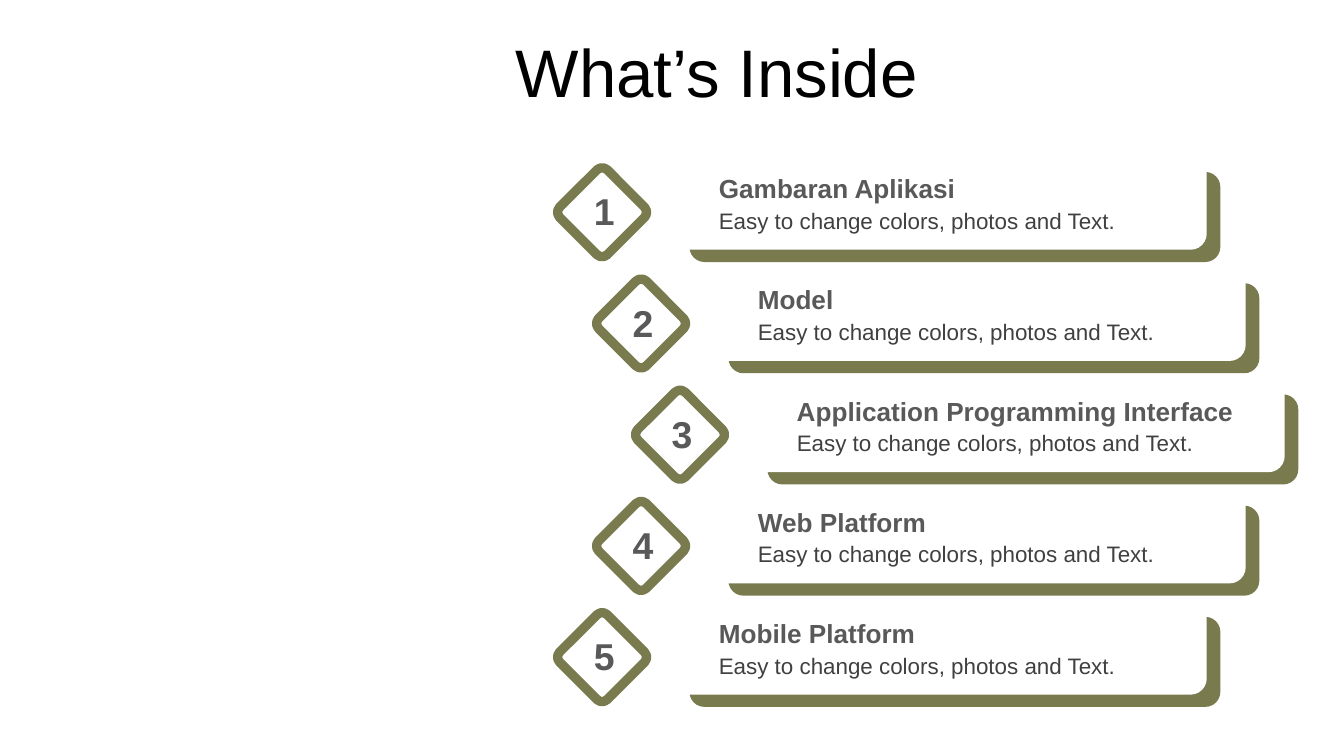
from dataclasses import dataclass

from pptx import Presentation
from pptx.dml.color import RGBColor
from pptx.enum.shapes import MSO_SHAPE
from pptx.enum.text import MSO_ANCHOR, PP_ALIGN
from pptx.util import Inches, Pt


@dataclass(frozen=True)
class Theme:
    font: str = "Arial"
    olive: str = "797B4F"
    card: str = "FFFFFF"
    title: str = "000000"
    heading: str = "595959"
    body: str = "404040"
    title_size: int = 36
    number_size: int = 20
    heading_size: int = 14
    body_size: int = 12


theme = Theme()
WIDTH = 10
HEIGHT = WIDTH * 9 / 16
FIRST_ROW, LAST_ROW = 1.18, 4.49
FIRST_COLUMN, INDENT = 4.23, 0.29
DESCRIPTION = "Easy to change colors, photos and Text."

# Heading, indent steps, heading width
agenda = [
    ("Gambaran Aplikasi", 0, 3.31),
    ("Model", 1, 3.54),
    ("Application Programming Interface", 2, 3.54),
    ("Web Platform", 1, 3.31),
    ("Mobile Platform", 0, 3.31),
]


def add_text(shapes, text, box, size, color, bold=False, align=PP_ALIGN.LEFT):
    text_frame = shapes.add_textbox(*map(Inches, box)).text_frame
    text_frame.word_wrap = True
    text_frame.vertical_anchor = MSO_ANCHOR.MIDDLE
    text_frame.text = text
    paragraph = text_frame.paragraphs[0]
    paragraph.alignment = align
    font = paragraph.runs[0].font
    font.name, font.size, font.bold = theme.font, Pt(size), bold
    font.color.rgb = RGBColor.from_string(color)


def add_rounded(shapes, box, fill, line=None, line_width=0):
    shape = shapes.add_shape(MSO_SHAPE.ROUNDED_RECTANGLE, *map(Inches, box))
    shape.shadow.inherit = False
    shape.fill.solid()
    shape.fill.fore_color.rgb = RGBColor.from_string(fill)
    if line:
        shape.line.color.rgb = RGBColor.from_string(line)
        shape.line.width = Pt(line_width)
    else:
        shape.line.fill.background()
    return shape


presentation = Presentation()
presentation.slide_width = Inches(WIDTH)
presentation.slide_height = Inches(HEIGHT)
slide = presentation.slides.add_slide(presentation.slide_layouts[6])

add_text(slide.shapes, "What’s Inside", (3.74, 0.21, 6.26, 0.63),
         theme.title_size, theme.title)

row_step = (LAST_ROW - FIRST_ROW) / (len(agenda) - 1)
for index, (heading, steps, heading_width) in enumerate(agenda):
    left = FIRST_COLUMN + steps * INDENT
    top = FIRST_ROW + index * row_step
    shapes = slide.shapes.add_group_shape().shapes

    add_rounded(shapes, (left + 0.9, top + 0.1, 3.95, 0.67), theme.olive)
    add_rounded(shapes, (left + 0.79, top, 3.95, 0.67), theme.card,
                theme.card, 1.25)
    add_text(shapes, heading, (left + 1.02, top + 0.05, heading_width, 0.34),
             theme.heading_size, theme.heading, bold=True)
    add_text(shapes, DESCRIPTION, (left + 1.02, top + 0.31, 3.31, 0.3),
             theme.body_size, theme.body)

    diamond = add_rounded(shapes, (left, top + 0.15, 0.5, 0.5), theme.card,
                          theme.olive, 5)
    diamond.adjustments[0] = 0.107
    diamond.rotation = 45
    add_text(shapes, str(index + 1), (left + 0.09, top + 0.17, 0.33, 0.44),
             theme.number_size, theme.heading, bold=True, align=PP_ALIGN.CENTER)

presentation.save("out.pptx")
